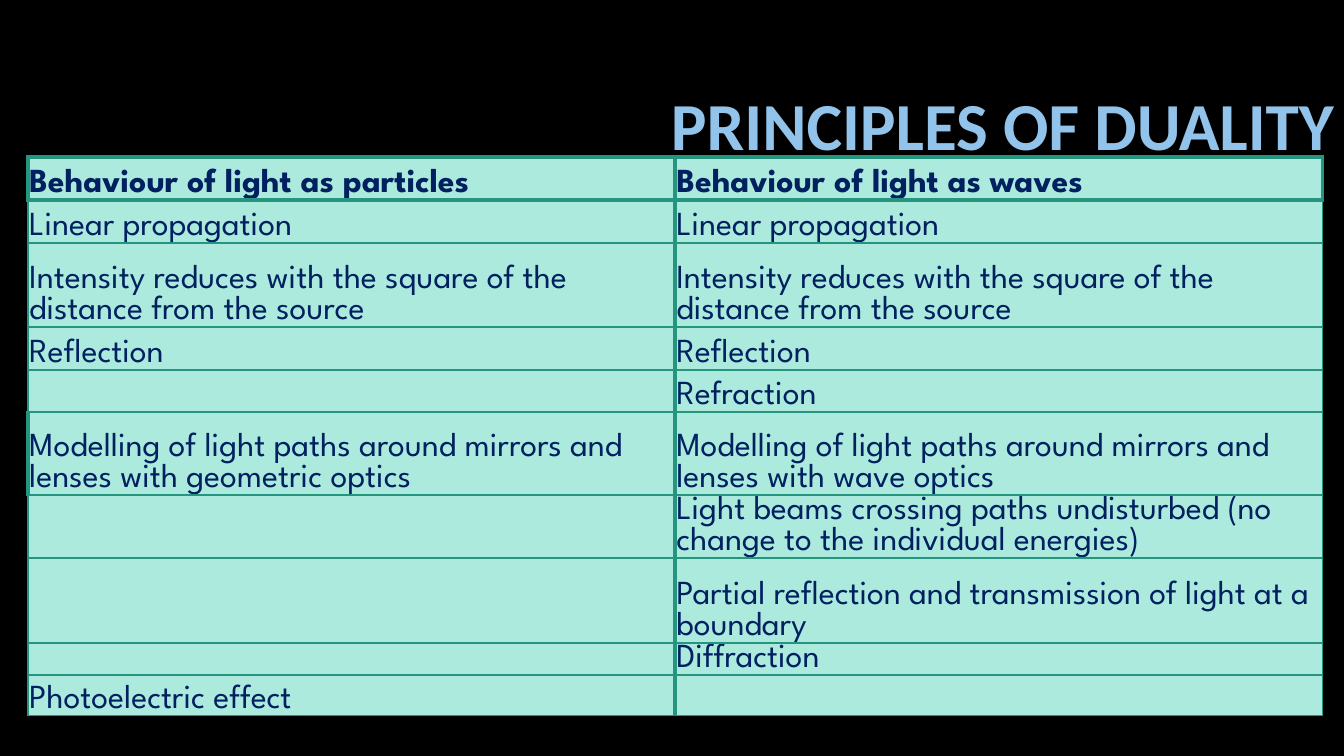
"""Build a slide comparing the particle and wave behaviour of light."""
from lxml import etree
from pptx import Presentation
from pptx.dml.color import RGBColor
from pptx.enum.text import MSO_ANCHOR, MSO_AUTO_SIZE, PP_ALIGN
from pptx.oxml.ns import qn
from pptx.util import Pt

MIDDLE, BOTTOM = MSO_ANCHOR.MIDDLE, MSO_ANCHOR.BOTTOM
LEFT, RIGHT = PP_ALIGN.LEFT, PP_ALIGN.RIGHT
NO_FIT = MSO_AUTO_SIZE.NONE

BLACK = RGBColor(0x00, 0x00, 0x00)
SKY = RGBColor(0x92, 0xC3, 0xEA)
NAVY = RGBColor(0x00, 0x20, 0x60)
MINT = RGBColor(0xAC, 0xEA, 0xDD)
TEAL = RGBColor(0x26, 0x95, 0x7F)

THIN, THICK = 1.5, 3
TITLE_ONLY = 5
TITLE_BOX = (282.24, 41.04, 678.24, 101.52)
TABLE_BOX = (20.16, 112.32, 924.48, 398.6)

INTENSITY = "Intensity reduces with the square of the distance from the source"
MODELLING = "Modelling of light paths around mirrors and lenses with "
BEHAVIOURS = [
    (30.6, "Behaviour of light as particles", "Behaviour of light as waves"),
    (30.6, "Linear propagation", "Linear propagation"),
    (60.2, INTENSITY, INTENSITY),
    (30.6, "Reflection", "Reflection"),
    (30.2, "", "Refraction"),
    (59.2, MODELLING + "geometric optics", MODELLING + "wave optics"),
    (44.6, "", "Light beams crossing paths undisturbed "
               "(no change to the individual energies)"),
    (60.6, "", "Partial reflection and transmission of light at a boundary"),
    (22.8, "", "Diffraction"),
    (29.2, "Photoelectric effect", ""),
]
MODELLING_ROW = 5


def write_text(frame, text, *, font, size, color, bold=False, align=LEFT, spacing=None):
    """Write one formatted paragraph into a text frame."""
    para = frame.paragraphs[0]
    para.alignment = align
    para.line_spacing = spacing
    if text:
        span = para.add_run()
        span.text = text
        span.font.name = font
        span.font.size = Pt(size)
        span.font.bold = bold
        span.font.color.rgb = color


def add_borders(cell, widths):
    """Draw the cell borders from a mapping of side to width in points."""
    properties = cell._tc.get_or_add_tcPr()
    for side in "LRTB":
        line = etree.SubElement(properties, qn(f"a:ln{side}"), w=str(Pt(widths[side])))
        fill = etree.SubElement(line, qn("a:solidFill"))
        etree.SubElement(fill, qn("a:srgbClr"), val=str(TEAL))


def border_widths(row, column):
    """Return the border widths of the cell at a row and column."""
    header = row == 0
    heavy_left = header or column == 1 or row == MODELLING_ROW
    return {
        "L": THICK if heavy_left else THIN,
        "R": THICK if header or column == 0 else THIN,
        "T": THICK if row <= 1 else THIN,
        "B": THICK if header else THIN,
    }


def add_title(page, box):
    """Place the title in its box."""
    title = page.shapes.title
    title.left, title.top, title.width, title.height = map(Pt, box)
    frame = title.text_frame
    frame.auto_size = NO_FIT
    frame.vertical_anchor = MIDDLE
    write_text(frame, "PRINCIPLES OF DUALITY", font="Calibri", size=48,
               color=SKY, bold=True, align=RIGHT, spacing=0.9)


def add_comparison(page, box):
    """Place the two-column table of behaviours in its box."""
    table = page.shapes.add_table(len(BEHAVIOURS), 2, *map(Pt, box)).table
    table.first_row = table.horz_banding = False
    for column in table.columns:
        column.width = Pt(box[2] / 2)
    for row, (height, *texts) in enumerate(BEHAVIOURS):
        table.rows[row].height = Pt(height)
        for column, text in enumerate(texts):
            cell = table.cell(row, column)
            add_borders(cell, border_widths(row, column))
            cell.fill.solid()
            cell.fill.fore_color.rgb = MINT
            cell.vertical_anchor = BOTTOM
            cell.margin_left = cell.margin_right = cell.margin_top = Pt(0.72)
            cell.margin_bottom = Pt(0)
            write_text(cell.text_frame, text, font="League Spartan", size=24,
                       color=NAVY, bold=row == 0)


def main():
    """Build and save the deck."""
    deck = Presentation()
    deck.slide_width, deck.slide_height = Pt(960), Pt(540)
    page = deck.slides.add_slide(deck.slide_layouts[TITLE_ONLY])
    page.background.fill.solid()
    page.background.fill.fore_color.rgb = BLACK
    add_title(page, TITLE_BOX)
    add_comparison(page, TABLE_BOX)
    deck.save("out.pptx")


if __name__ == "__main__":
    main()
